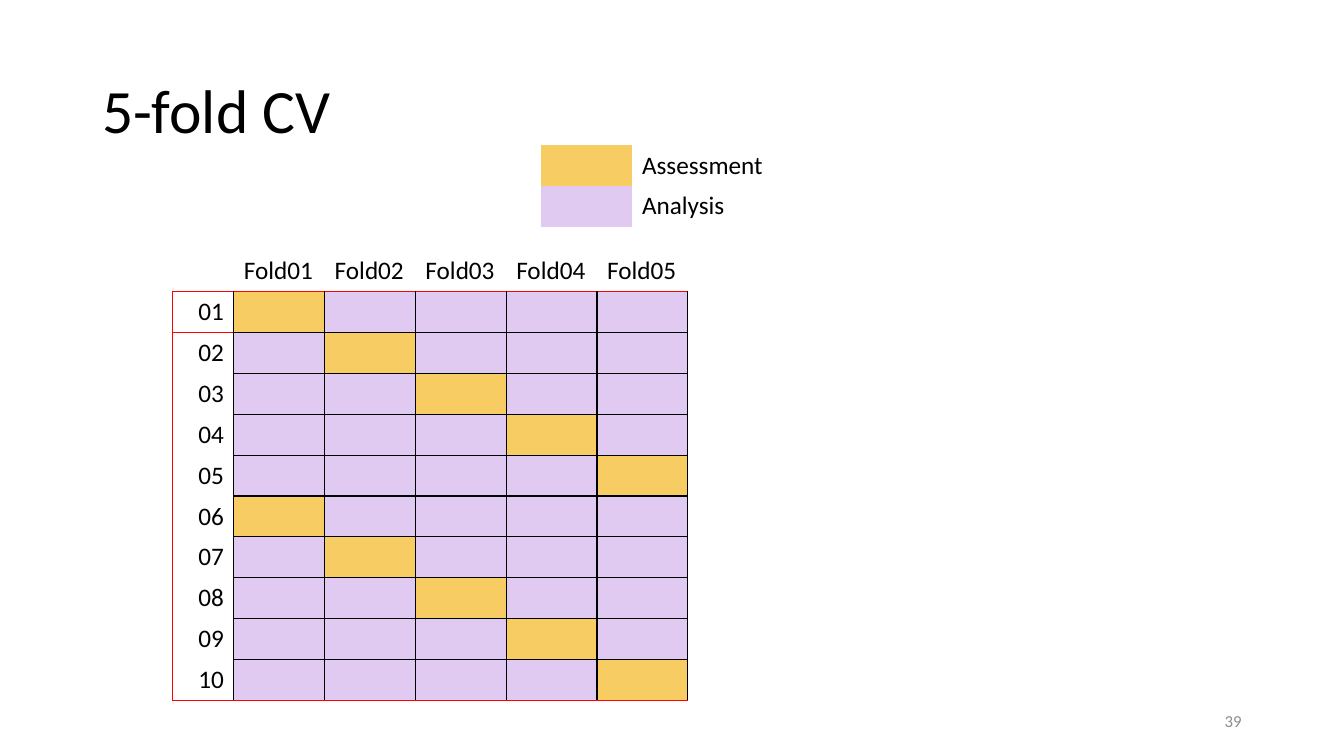
"""Build the 5-fold cross-validation slide."""
from dataclasses import dataclass

from lxml import etree
from pptx import Presentation
from pptx.dml.color import RGBColor
from pptx.enum.text import MSO_ANCHOR, PP_ALIGN
from pptx.oxml.ns import qn
from pptx.util import Pt

LEFT, RIGHT = PP_ALIGN.LEFT, PP_ALIGN.RIGHT
MIDDLE = MSO_ANCHOR.MIDDLE
PLAIN_TABLE = "{2D5ABB26-0587-4C30-8999-92F81FD0307C}"

TITLE = "5-fold CV"
PAGE = "39"
FOLDS = ["Fold01", "Fold02", "Fold03", "Fold04", "Fold05"]
ROWS = ["01", "02", "03", "04", "05", "06", "07", "08", "09", "10"]
LEGEND = ["Assessment", "Analysis"]

SLIDE_SIZE = (960, 540)
TITLE_BOX = (66, 28.75, 828, 104.4)
PAGE_BOX = (678, 500.5, 216, 28.75)
GRID_AT = (123.2, 179.1)
LEGEND_AT = (386.6, 103.6)
LABEL_W, FOLD_W, LEGEND_W, ROW_H = 43.9, 64.85, 100.8, 29.2


@dataclass(frozen=True)
class Theme:
    """Colours, font and type sizes."""
    font: str = "Calibri"
    ink: str = "000000"
    muted: str = "8C8C8C"
    frame: str = "FF0000"
    assessment: str = "F7CD63"
    analysis: str = "E0CAF2"
    title: int = 44
    body: int = 18
    page: int = 12
    border: int = 1


THEME = Theme()


def write(tf, text, size, color=THEME.ink, align=LEFT):
    """Add one formatted run to the first paragraph."""
    p = tf.paragraphs[0]
    p.alignment = align
    r = p.add_run()
    r.text = text
    r.font.name = THEME.font
    r.font.size = Pt(size)
    r.font.color.rgb = RGBColor.from_string(color)
    return p


def paint(cell, color):
    """Fill a table cell."""
    cell.fill.solid()
    cell.fill.fore_color.rgb = RGBColor.from_string(color)


def outline(cell, sides):
    """Draw cell borders from a side-to-colour mapping, ordered L, R, T, B."""
    tc_pr = cell._tc.get_or_add_tcPr()
    for side, color in sides.items():
        ln = etree.SubElement(tc_pr, qn("a:ln" + side), w=str(Pt(THEME.border)))
        fill = etree.SubElement(ln, qn("a:solidFill"))
        etree.SubElement(fill, qn("a:srgbClr"), val=color)


def add_plain_table(s, at, widths, n_rows):
    """Add an unstyled table with equal rows."""
    x, y = at
    frame = s.shapes.add_table(n_rows, len(widths), Pt(x), Pt(y),
                               Pt(sum(widths)), Pt(n_rows * ROW_H))
    table = frame.table
    table.first_row = table.horz_banding = False
    table._tbl.tblPr.find(qn("a:tableStyleId")).text = PLAIN_TABLE
    for column, width in zip(table.columns, widths):
        column.width = Pt(width)
    for row in table.rows:
        row.height = Pt(ROW_H)
    return table


def add_fold_grid(s):
    """Add the grid that marks the assessment rows of each fold."""
    widths = [LABEL_W] + [FOLD_W] * len(FOLDS)
    table = add_plain_table(s, GRID_AT, widths, len(ROWS) + 1)
    red, black = THEME.frame, THEME.ink
    for c, fold in enumerate([""] + FOLDS):
        cell = table.cell(0, c)
        outline(cell, {"B": red})
        if fold:
            write(cell.text_frame, fold, THEME.body)
    for i, label in enumerate(ROWS):
        first, last = i == 0, i == len(ROWS) - 1
        cell = table.cell(i + 1, 0)
        sides = {"L": red, "R": black}
        if first:
            sides["T"] = red
        if last:
            sides["B"] = red
        outline(cell, sides)
        write(cell.text_frame, label, THEME.body, align=RIGHT)
        for j in range(len(FOLDS)):
            cell = table.cell(i + 1, j + 1)
            outline(cell, {"L": black, "R": black,
                           "T": red if first else black,
                           "B": red if last else black})
            held_out = i % len(FOLDS) == j
            paint(cell, THEME.assessment if held_out else THEME.analysis)


def add_legend(s):
    """Add the colour key."""
    table = add_plain_table(s, LEGEND_AT, [FOLD_W, LEGEND_W], len(LEGEND))
    for i, color in enumerate([THEME.assessment, THEME.analysis]):
        paint(table.cell(i, 0), color)
        write(table.cell(i, 1).text_frame, LEGEND[i], THEME.body)


def main():
    """Build and save the slide."""
    prs = Presentation()
    prs.slide_width, prs.slide_height = map(Pt, SLIDE_SIZE)
    s = prs.slides.add_slide(prs.slide_layouts[5])

    title = s.shapes.title
    title.left, title.top, title.width, title.height = map(Pt, TITLE_BOX)
    title.text_frame.vertical_anchor = MIDDLE
    write(title.text_frame, TITLE, THEME.title).line_spacing = 0.9

    tf = s.shapes.add_textbox(*map(Pt, PAGE_BOX)).text_frame
    tf.word_wrap = True
    tf.vertical_anchor = MIDDLE
    write(tf, PAGE, THEME.page, THEME.muted, RIGHT)

    add_fold_grid(s)
    add_legend(s)
    prs.save("out.pptx")


if __name__ == "__main__":
    main()
